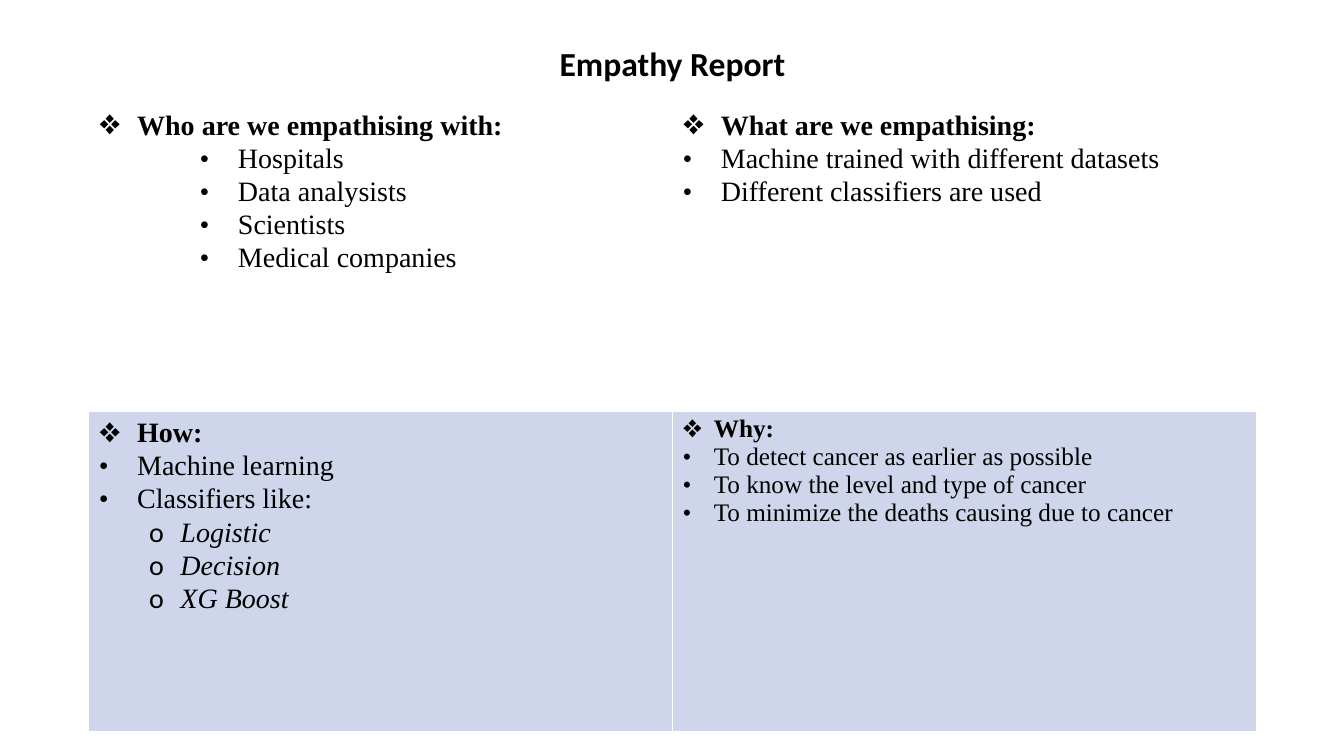
from lxml.etree import SubElement
from pptx import Presentation
from pptx.dml.color import RGBColor
from pptx.enum.text import MSO_AUTO_SIZE, PP_ALIGN
from pptx.oxml.ns import qn
from pptx.util import Inches, Pt

THEME = {
    "text": "000000", "border": "FFFFFF", "rows": ["FFFFFF", "CFD5EA"],
    "title_font": "Calibri", "body_font": "Times New Roman",
    "title_size": 24, "body_size": 20, "small_size": 18,
}

LEVELS = {
    "head": {"char": "❖", "level": 0, "left": 0, "bold": True},
    "point": {"char": "•", "level": 0, "left": 0},
    "deep": {"char": "•", "level": 2, "left": 1},
    "sub": {"char": "o", "level": 1, "left": 0.5, "italic": True},
}

CELLS = [
    [
        {"text": [("head", "Who are we empathising with:"), ("deep", "Hospitals"),
                  ("deep", "Data analysists"), ("deep", "Scientists"),
                  ("deep", "Medical companies")]},
        {"text": [("head", "What are we empathising:"),
                  ("point", "Machine trained with different datasets"),
                  ("point", "Different classifiers are used")]},
    ],
    [
        {"text": [("head", "How:"), ("point", "Machine learning"),
                  ("point", "Classifiers like:"), ("sub", "Logistic"),
                  ("sub", "Decision"), ("sub", "XG Boost")]},
        {"text": [("head", "Why:"),
                  ("point", "To detect cancer as earlier as possible"),
                  ("point", "To know the level and type of cancer"),
                  ("point", "To minimize the deaths causing due to cancer")],
         "size": THEME["small_size"], "spacing": 1.0, "hang": 0.31},
    ],
]


def add_run(p, text, **formats):
    r = p.add_run()
    r.text = text
    for name, value in formats.items():
        setattr(r.font, name, value)
    r.font.color.rgb = RGBColor.from_string(THEME["text"])


def set_bullet(p, char, left, hang):
    pPr = p._p.get_or_add_pPr()
    pPr.set("marL", str(Inches(left + hang)))
    pPr.set("indent", str(-Inches(hang)))
    font = THEME["title_font"] if char == "o" else THEME["body_font"]
    SubElement(pPr, qn("a:buFont"), typeface=font)
    SubElement(pPr, qn("a:buChar"), char=char)


prs = Presentation()
prs.slide_width, prs.slide_height = Inches(13.33), Inches(7.5)
s = prs.slides.add_slide(prs.slide_layouts[6])

table = s.shapes.add_table(2, 2, Inches(0.88), Inches(1.02),
                           Inches(11.58), Inches(6.24)).table
table.first_row = table.horz_banding = False
for row, height in zip(table.rows, (3.05, 3.19)):
    row.height = Inches(height)

for i, row in enumerate(CELLS):
    for j, content in enumerate(row):
        cell = table.cell(i, j)
        tcPr = cell._tc.get_or_add_tcPr()
        for side in "LRTB":
            width = 3 if (i, side) in ((0, "B"), (1, "T")) else 1
            ln = SubElement(tcPr, qn(f"a:ln{side}"), w=str(Pt(width)))
            fill = SubElement(ln, qn("a:solidFill"))
            SubElement(fill, qn("a:srgbClr"), val=THEME["border"])
        cell.fill.solid()
        cell.fill.fore_color.rgb = RGBColor.from_string(THEME["rows"][i])

        tf = cell.text_frame
        for k, (kind, text) in enumerate(content["text"]):
            level = LEVELS[kind]
            hang = 0.31 if kind == "sub" else content.get("hang", 0.38)
            p = tf.add_paragraph() if k else tf.paragraphs[0]
            formats = {"alignment": PP_ALIGN.JUSTIFY, "level": level["level"],
                       "line_spacing": content.get("spacing", 1.07)}
            for name, value in formats.items():
                setattr(p, name, value)
            set_bullet(p, level["char"], level["left"], hang)
            add_run(p, text, name=THEME["body_font"],
                    size=Pt(content.get("size", THEME["body_size"])),
                    bold=level.get("bold", False),
                    italic=level.get("italic", False))

sp = s.shapes.add_textbox(Inches(5.12), Inches(0.38), Inches(3.1), Inches(0.5))
tf = sp.text_frame
tf.word_wrap = True
tf.auto_size = MSO_AUTO_SIZE.SHAPE_TO_FIT_TEXT
p = tf.paragraphs[0]
p.alignment = PP_ALIGN.CENTER
add_run(p, "Empathy Report", name=THEME["title_font"],
        size=Pt(THEME["title_size"]), bold=True)

prs.save("out.pptx")
